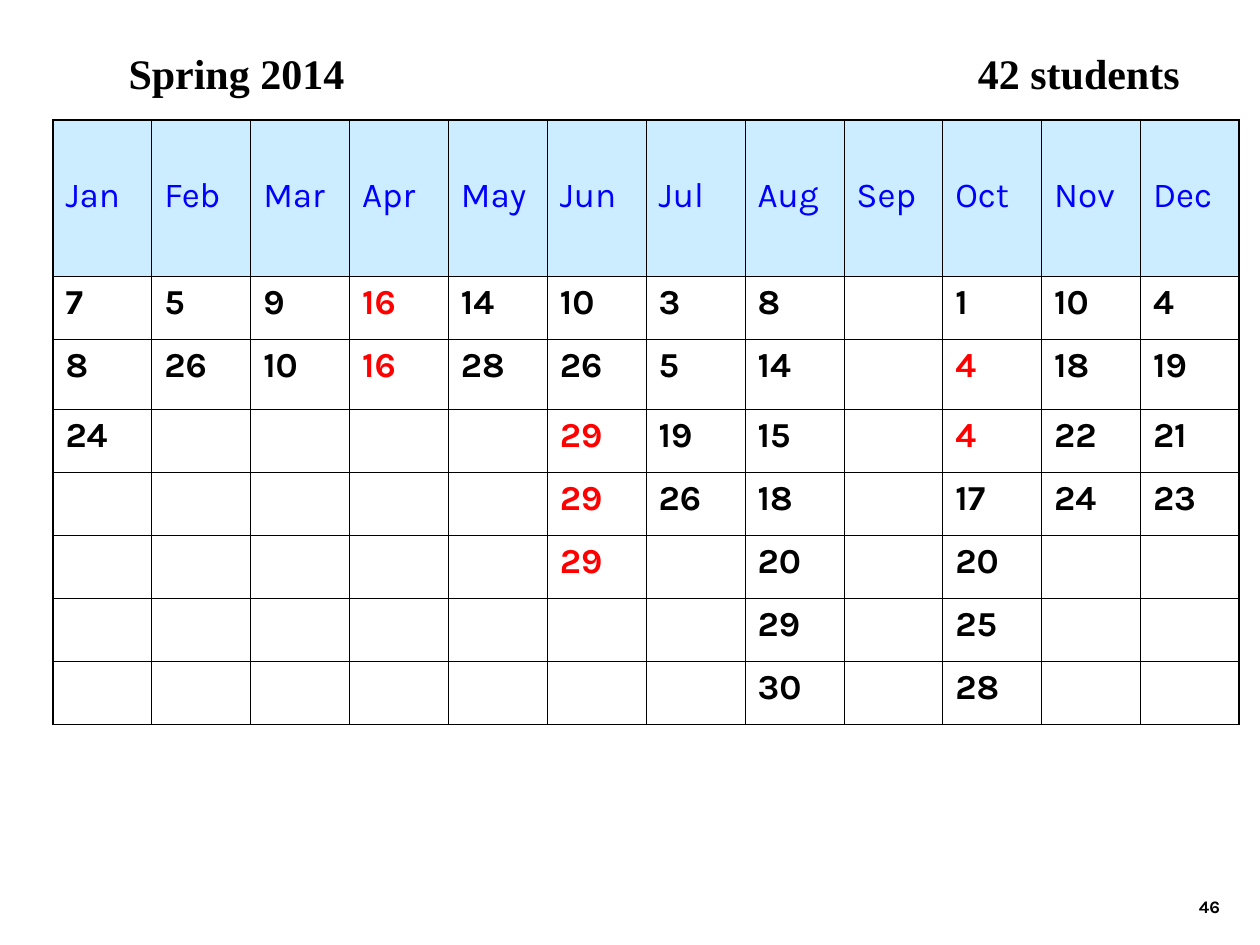
from lxml import etree
from pptx import Presentation
from pptx.dml.color import RGBColor as RGB
from pptx.enum.text import MSO_ANCHOR as Anchor, PP_ALIGN as Align
from pptx.oxml.ns import qn
from pptx.util import Inches, Pt

BLACK = RGB(0x00, 0x00, 0x00)
WHITE = RGB(0xFF, 0xFF, 0xFF)
RED = RGB(0xFF, 0x00, 0x00)
BLUE = RGB(0x00, 0x00, 0xFF)
PALE_BLUE = RGB(0xCC, 0xEC, 0xFF)
SANS, SERIF = "Karla", "Times New Roman"
THIN, THICK = Pt(0.45), Pt(1.08)

DAYS = {
    "Jan": [7, 8, 24],
    "Feb": [5, 26],
    "Mar": [9, 10],
    "Apr": [16, 16],
    "May": [14, 28],
    "Jun": [10, 26, 29, 29, 29],
    "Jul": [3, 5, 19, 26],
    "Aug": [8, 14, 15, 18, 20, 29, 30],
    "Sep": [],
    "Oct": [1, 4, 4, 17, 20, 25, 28],
    "Nov": [10, 18, 22, 24],
    "Dec": [4, 19, 21, 23],
}
ROW_HEIGHTS = [1.24, 0.5, 0.56] + [0.5] * 5


def add_run(p, text, size, font, color=BLACK, bold=True):
    """Append a formatted run to a paragraph."""
    r = p.add_run()
    r.text = text
    r.font.size, r.font.name, r.font.bold = Pt(size), font, bold
    r.font.color.rgb = color


def add_heading(slide, left, top, width, height):
    """Place the term and the student count, parted by a tab stop."""
    sp = slide.shapes.title
    sp.left, sp.top, sp.width, sp.height = left, top, width, height
    tf = sp.text_frame
    tf.word_wrap, tf.vertical_anchor = True, Anchor.TOP
    p = tf.paragraphs[0]
    p.alignment = Align.LEFT
    tabs = etree.SubElement(p._p.get_or_add_pPr(), qn("a:tabLst"))
    etree.SubElement(tabs, qn("a:tab"), pos=str(Inches(6.74)), algn="l")
    add_run(p, "Spring 2014\t42 students", 24, SERIF)


def set_borders(cell, widths):
    """Draw solid black cell borders with the given width on each side."""
    tc_pr = cell._tc.get_or_add_tcPr()
    for side, width in widths.items():
        ln = etree.SubElement(tc_pr, qn(f"a:ln{side}"), w=str(width))
        fill = etree.SubElement(ln, qn("a:solidFill"))
        etree.SubElement(fill, qn("a:srgbClr"), val=str(BLACK))


def add_calendar(slide, left, top, width, height):
    """Place the month table, with days that occur more than once in red."""
    n_rows, n_cols = len(ROW_HEIGHTS), len(DAYS)
    frame = slide.shapes.add_table(n_rows, n_cols, left, top, width, height)
    table = frame.table
    table.first_row = table.horz_banding = False
    for row, row_height in zip(table.rows, ROW_HEIGHTS):
        row.height = Inches(row_height)
    for col, (month, days) in enumerate(DAYS.items()):
        table.columns[col].width = width // n_cols
        for row in range(n_rows):
            cell = table.cell(row, col)
            set_borders(cell, {
                "L": THICK if col == 0 else THIN,
                "R": THICK if col == n_cols - 1 else THIN,
                "T": THICK if row == 0 else THIN,
                "B": THICK if row == n_rows - 1 else THIN,
            })
            cell.fill.solid()
            cell.fill.fore_color.rgb = WHITE if row else PALE_BLUE
            p = cell.text_frame.paragraphs[0]
            if row == 0:
                cell.margin_top = Inches(0.44)
                add_run(p, month, 20, SANS, BLUE, False)
            elif row <= len(days):
                day = days[row - 1]
                color = RED if days.count(day) > 1 else BLACK
                add_run(p, str(day), 20, SANS, color)


def add_page_number(slide, left, top, width, height):
    """Place the page number at the bottom right."""
    tf = slide.shapes.add_textbox(left, top, width, height).text_frame
    tf.word_wrap, tf.vertical_anchor = True, Anchor.BOTTOM
    p = tf.paragraphs[0]
    p.alignment = Align.RIGHT
    add_run(p, "46", 10, SANS)


def main():
    """Build the slide and save it."""
    prs = Presentation()
    prs.slide_width, prs.slide_height = Inches(10), Inches(7.5)
    slide = prs.slides.add_slide(prs.slide_layouts[5])
    add_page_number(slide, Inches(7.7), Inches(6.83), Inches(2.08), Inches(0.5))
    add_heading(slide, Inches(0.92), Inches(0.33), Inches(8.58), Inches(0.5))
    add_calendar(slide, Inches(0.42), Inches(0.95), Inches(9.42),
                 Inches(sum(ROW_HEIGHTS)))
    prs.save("out.pptx")


if __name__ == "__main__":
    main()
